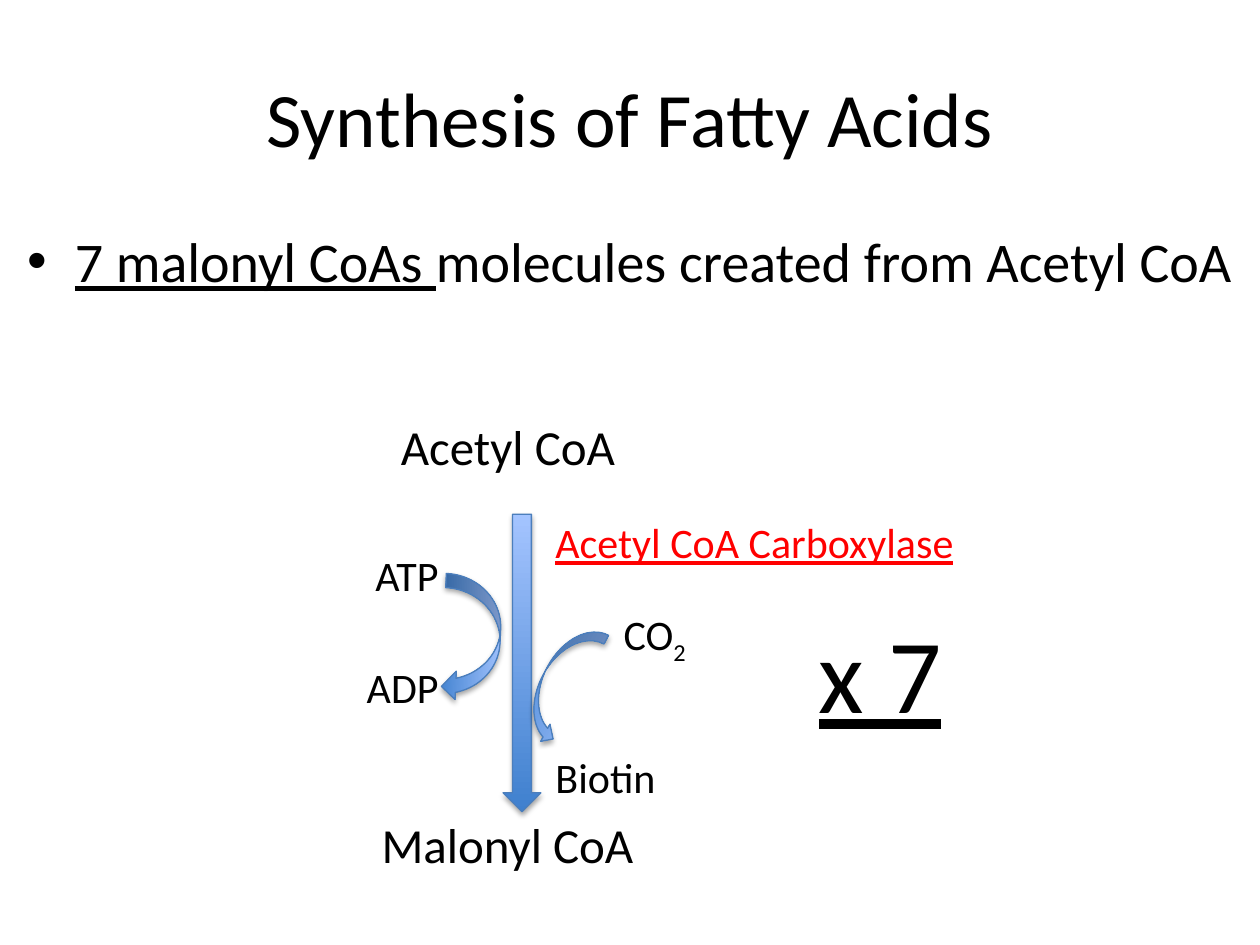
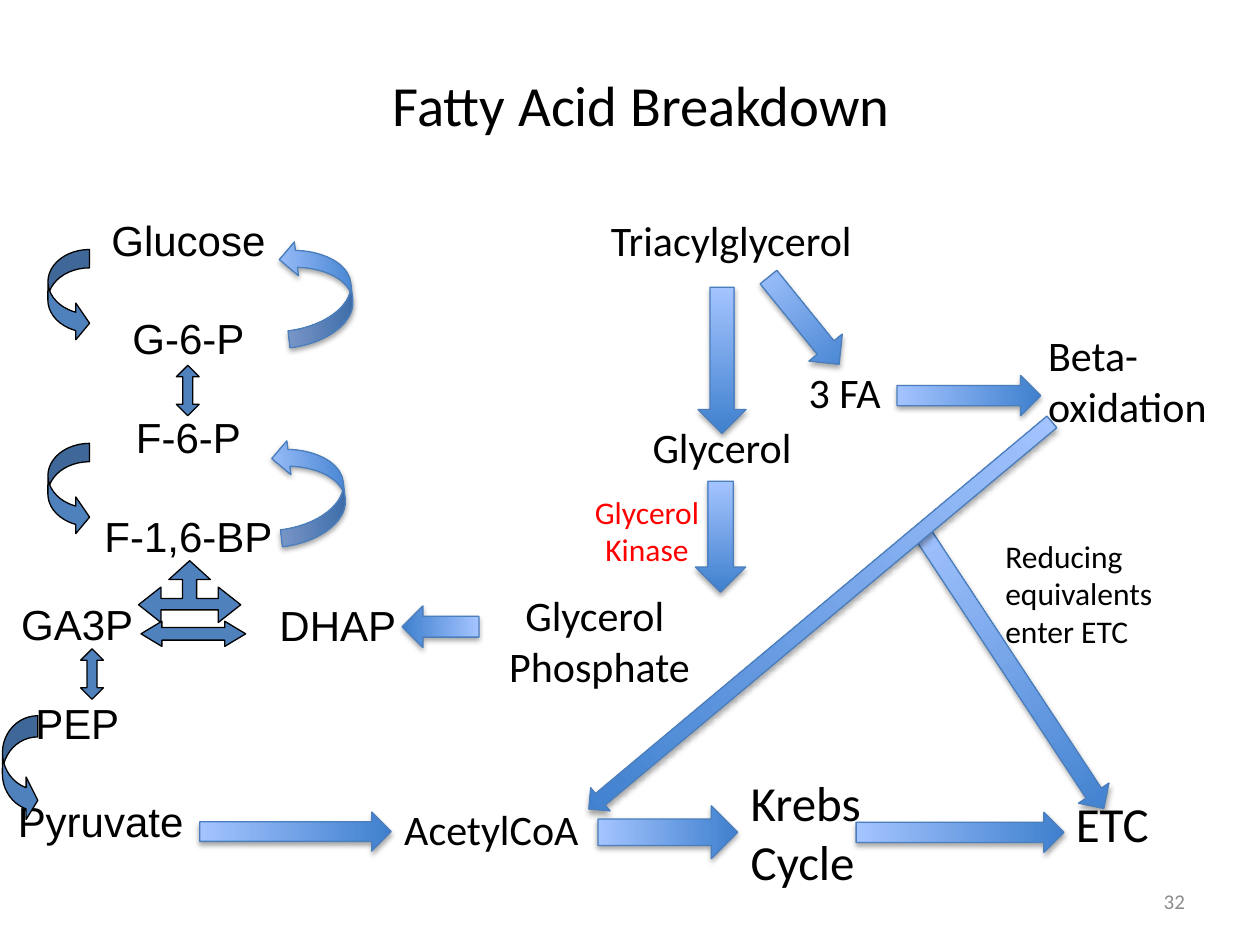
from lxml import etree
from pptx import Presentation
from pptx.dml.color import RGBColor
from pptx.enum.shapes import MSO_SHAPE as Shape
from pptx.enum.text import MSO_ANCHOR as Anchor, PP_ALIGN as Align
from pptx.oxml.ns import qn
from pptx.util import Pt

BLACK = RGBColor(0x00, 0x00, 0x00)
WHITE = RGBColor(0xFF, 0xFF, 0xFF)
ENZYME_RED = RGBColor(0xFF, 0x00, 0x00)
FLAT_BLUE = RGBColor(0x4F, 0x81, 0xBD)
DEEP_BLUE = RGBColor(0x3F, 0x80, 0xCE)
PALE_BLUE = RGBColor(0xA4, 0xC4, 0xFF)
EDGE_BLUE = RGBColor(0x4B, 0x7E, 0xBC)
NUMBER_GREY = RGBColor(0x8C, 0x8C, 0x8C)

BODY_FONT = "Calibri"
PATHWAY_FONT = "Arial"
PATHWAY_GAP = 27.6  # one empty line of 24 pt Arial


def add_run(paragraph, text, size=24, color=BLACK, font=BODY_FONT,
            underline=False, baseline=None):
    run = paragraph.add_run()
    run.text = text
    run.font.name = font
    run.font.size = Pt(size)
    run.font.color.rgb = color
    run.font.underline = underline
    if baseline:
        run.font._element.set("baseline", str(baseline))


def set_margins(paragraph, **points):
    properties = paragraph._p.get_or_add_pPr()
    for name, value in points.items():
        properties.set(name, str(int(Pt(value))))
    return properties


def add_bullet(paragraph, indent):
    properties = set_margins(paragraph, marL=indent, indent=-indent)
    etree.SubElement(properties, qn("a:buFont")).set("typeface", "Arial")
    etree.SubElement(properties, qn("a:buChar")).set("char", "•")


def add_soft_shadow(shape):
    effects = shape._element.spPr.find(qn("a:effectLst"))
    shadow = etree.SubElement(
        effects, qn("a:outerShdw"), blurRad=str(int(Pt(3.1))),
        dist=str(int(Pt(1.8))), dir="5400000", rotWithShape="0")
    color = etree.SubElement(shadow, qn("a:srgbClr"), val=str(BLACK))
    etree.SubElement(color, qn("a:alpha"), val="35000")


class PathwayDeck:
    def __init__(self):
        self.presentation = Presentation()
        self.presentation.slide_width = Pt(720)
        self.presentation.slide_height = Pt(540)
        self.slide = None

    def new_slide(self, title, left, top, width, height, size):
        layout = self.presentation.slide_layouts.get_by_name("Title Only")
        self.slide = self.presentation.slides.add_slide(layout)
        self.slide.background.fill.solid()
        self.slide.background.fill.fore_color.rgb = WHITE
        heading = self.slide.shapes.title
        heading.left, heading.top = Pt(left), Pt(top)
        heading.width, heading.height = Pt(width), Pt(height)
        heading.text_frame.vertical_anchor = Anchor.MIDDLE
        paragraph = heading.text_frame.paragraphs[0]
        paragraph.alignment = Align.CENTER
        add_run(paragraph, title, size)

    def label(self, lines, left, top, width, height=36, align=Align.LEFT,
              anchor=Anchor.TOP, gap=0, **style):
        """Add one paragraph per line and return the paragraphs."""
        box = self.slide.shapes.add_textbox(Pt(left), Pt(top), Pt(width), Pt(height))
        frame = box.text_frame
        frame.word_wrap = True
        frame.vertical_anchor = anchor
        for index, line in enumerate(lines):
            paragraph = frame.add_paragraph() if index else frame.paragraphs[0]
            paragraph.alignment = align
            if index:
                paragraph.space_before = Pt(gap)
            add_run(paragraph, line, **style)
        return frame.paragraphs

    def arrow(self, kind, left, top, width, height, rotation=0):
        """Add a shaded arrow with a soft shadow."""
        arrow = self.slide.shapes.add_shape(
            kind, Pt(left), Pt(top), Pt(width), Pt(height))
        arrow.rotation = rotation
        arrow.fill.gradient()
        arrow.fill.gradient_angle = 90
        for stop, color in zip(arrow.fill.gradient_stops, (DEEP_BLUE, PALE_BLUE)):
            stop.color.rgb = color
        self.outline(arrow, EDGE_BLUE)
        add_soft_shadow(arrow)

    def flat_arrow(self, kind, left, top, width, height, adjustments):
        arrow = self.slide.shapes.add_shape(
            kind, Pt(left), Pt(top), Pt(width), Pt(height))
        for index, value in enumerate(adjustments):
            arrow.adjustments[index] = value
        self.flat_style(arrow)

    def three_way_arrow(self, center, left_half):
        """Mirror the left half of the outline, listed from its tip, about center."""
        right_half = [(2 * center - x, y) for x, y in reversed(left_half[1:])]
        points = [(Pt(x), Pt(y)) for x, y in left_half + right_half]
        builder = self.slide.shapes.build_freeform(*points[0])
        builder.add_line_segments(points[1:], close=True)
        self.flat_style(builder.convert_to_shape())

    def flat_style(self, shape):
        shape.fill.solid()
        shape.fill.fore_color.rgb = FLAT_BLUE
        self.outline(shape, BLACK)

    def outline(self, shape, color):
        shape.line.color.rgb = color
        shape.line.width = Pt(0.75)
        shape.shadow.inherit = False


def build_synthesis(deck):
    deck.new_slide("Synthesis of Fatty Acids", 36, 21.6, 648, 90, size=44)
    summary, = deck.label(["7 malonyl CoAs "], 8.64, 126, 711, 383,
                          size=32, underline=True)
    add_bullet(summary, 27)
    add_run(summary, "molecules created from Acetyl CoA", size=32)

    deck.label(["Acetyl CoA"], 222, 234.7, 199, 41, size=28)
    deck.label(["Malonyl CoA"], 211, 462.2, 232, 41, size=28)
    deck.arrow(Shape.DOWN_ARROW, 287.5, 293.8, 21.6, 170)
    deck.label(["ATP"], 207.4, 310.3, 74)
    deck.label(["Acetyl CoA Carboxylase"], 310.3, 291.6, 279,
               color=ENZYME_RED, underline=True)
    deck.label(["ADP"], 202.5, 374.4, 78)
    carbon_dioxide, = deck.label(["CO"], 349.2, 344.2, 74)
    add_run(carbon_dioxide, "2", baseline=-25000)
    deck.arrow(Shape.CURVED_UP_ARROW, 284.4, 378.7, 72.7, 22.3, 118.2)
    deck.arrow(Shape.CURVED_DOWN_ARROW, 233.3, 348.5, 72.7, 32.4, 92.5)
    deck.label(["x 7"], 460.8, 344.2, 96, 80, size=60, underline=True)
    deck.label(["Biotin"], 310.3, 426.2, 132)


def build_breakdown(deck):
    deck.new_slide("Fatty Acid Breakdown", 36, 36, 661, 46.8, size=32.4)

    pathway = dict(align=Align.CENTER, gap=PATHWAY_GAP, font=PATHWAY_FONT)
    ga3p, _, pyruvate = deck.label(["GA3P", "PEP", "Pyruvate"],
                                   -26.5, 338.4, 148, 153, **pathway)
    set_margins(ga3p, marR=6.7)
    set_margins(pyruvate, marL=26.7)
    deck.label(["Glucose", "G-6-P", "F-6-P", "F-1,6-BP"],
               30.2, 118.8, 155, 209, **pathway)
    deck.label(["DHAP"], 152.6, 339.1, 90, font=PATHWAY_FONT)

    for top in (142.6, 253.4):
        deck.flat_arrow(Shape.CURVED_RIGHT_ARROW, 27.4, top, 23.8, 52.6,
                        (0.44, 0.88, 0.33))
    deck.flat_arrow(Shape.CURVED_RIGHT_ARROW, 1.4, 409, 20.2, 60.5,
                    (0.6, 1.2, 0.33))
    for left, top in ((100.8, 208.8), (46.1, 370.8)):
        deck.flat_arrow(Shape.UP_DOWN_ARROW, left, top, 13, 28.8, (0.5, 0.44))
    deck.flat_arrow(Shape.LEFT_RIGHT_ARROW, 80.6, 355, 59.8, 14.4, (0.5, 0.83))
    deck.three_way_arrow(108.4, [
        (108.4, 320.4), (96.5, 331.2), (104.4, 331.2), (104.4, 342), (92, 342),
        (92, 335.5), (79.2, 345.6), (92, 355.7), (92, 348.5)])

    deck.label(["32"], 516.2, 500.4, 168, 28.8, align=Align.RIGHT,
               anchor=Anchor.MIDDLE, size=12, color=NUMBER_GREY)

    deck.label(["Triacylglycerol"], 342, 118.8, 163)
    deck.label(["Glycerol"], 365.8, 237.6, 163)
    _, phosphate = deck.label(["Glycerol", "Phosphate"], 223.9, 333.4, 232, 65.5,
                              align=Align.CENTER)
    set_margins(phosphate, marL=5.4)
    deck.label(["Glycerol Kinase"], 328.3, 277.9, 82.8, 51, align=Align.CENTER,
               size=18, color=ENZYME_RED)
    deck.label(["3 FA"], 455, 205.9, 67.7)
    deck.label(["Beta-oxidation"], 591.8, 185, 129, 65.5)
    deck.label(["Krebs Cycle"], 421.9, 437.8, 134, 75, size=28)
    deck.label(["ETC"], 607.7, 450, 61.2, 41, size=28)
    deck.label(["AcetylCoA"], 223.9, 455.8, 134)
    deck.label(["Reducing equivalents", "enter ETC"], 567.4, 303.1, 129, 72.7, size=18)

    for top in (260.6, 146.9):
        left = 146.9 if top > 200 else 151.2
        deck.arrow(Shape.CURVED_UP_ARROW, left, top, 60.5, 38.9, 263.1)
    for step in (
            (397.4, 275, 28.8, 63.4),              # glycerol to its phosphate
            (239.8, 336.2, 23.8, 43.9, 90),        # phosphate to DHAP
            (398.9, 164.2, 27.4, 83.5),            # triacylglycerol to glycerol
            (447.1, 151.2, 24.5, 64.1, 321),       # triacylglycerol to 3 FA
            (542.2, 185, 23, 82.1, 270),           # 3 FA to beta-oxidation
            (568.8, 290.2, 20.9, 187.2, 326.6),    # reducing equivalents to ETC
            (157.7, 420.5, 22.3, 109.4, 270),      # pyruvate to acetyl CoA
            (537.1, 416.2, 23, 118.8, 270),        # Krebs cycle to ETC
            (460.1, 179.3, 17.3, 344.9, 50.1),     # beta-oxidation to acetyl CoA
            (366.5, 435.6, 30.2, 79.9, 270)):      # acetyl CoA to Krebs cycle
        deck.arrow(Shape.DOWN_ARROW, *step)


def main():
    deck = PathwayDeck()
    build_synthesis(deck)
    build_breakdown(deck)
    deck.presentation.save("out.pptx")


if __name__ == "__main__":
    main()
